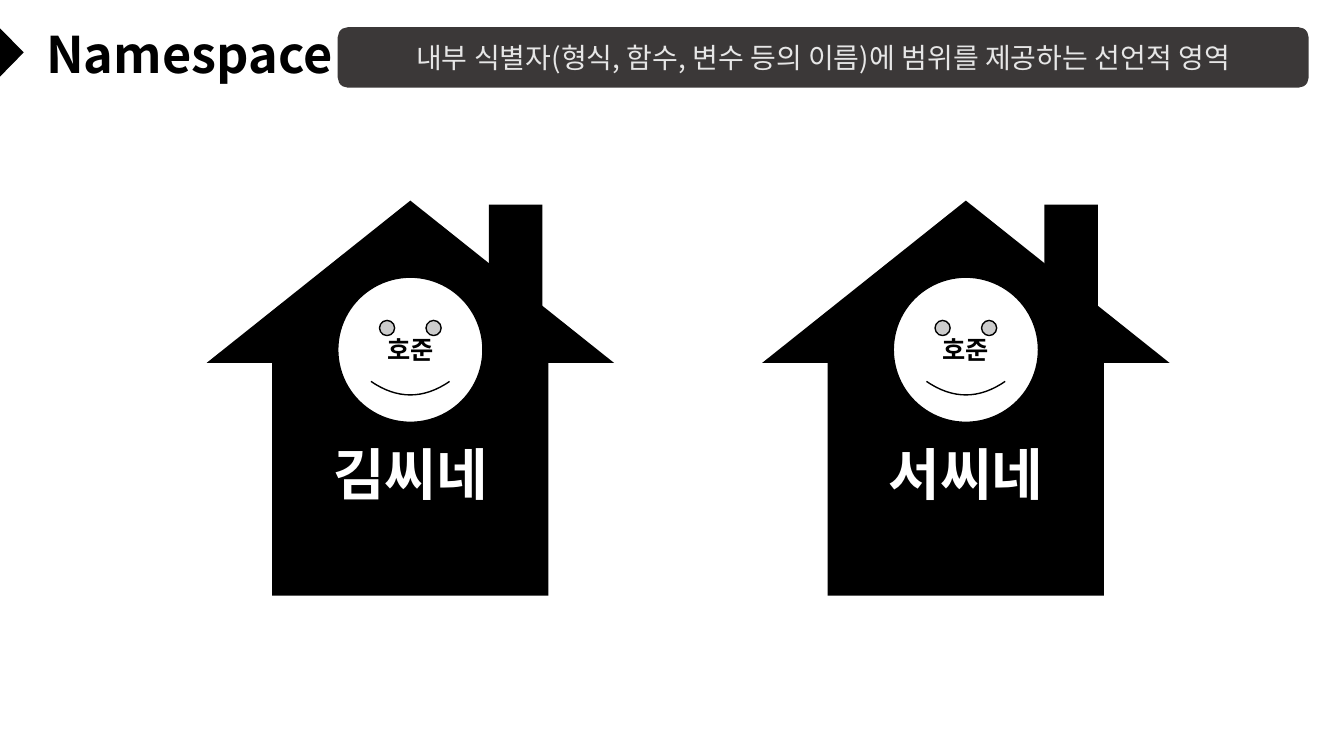
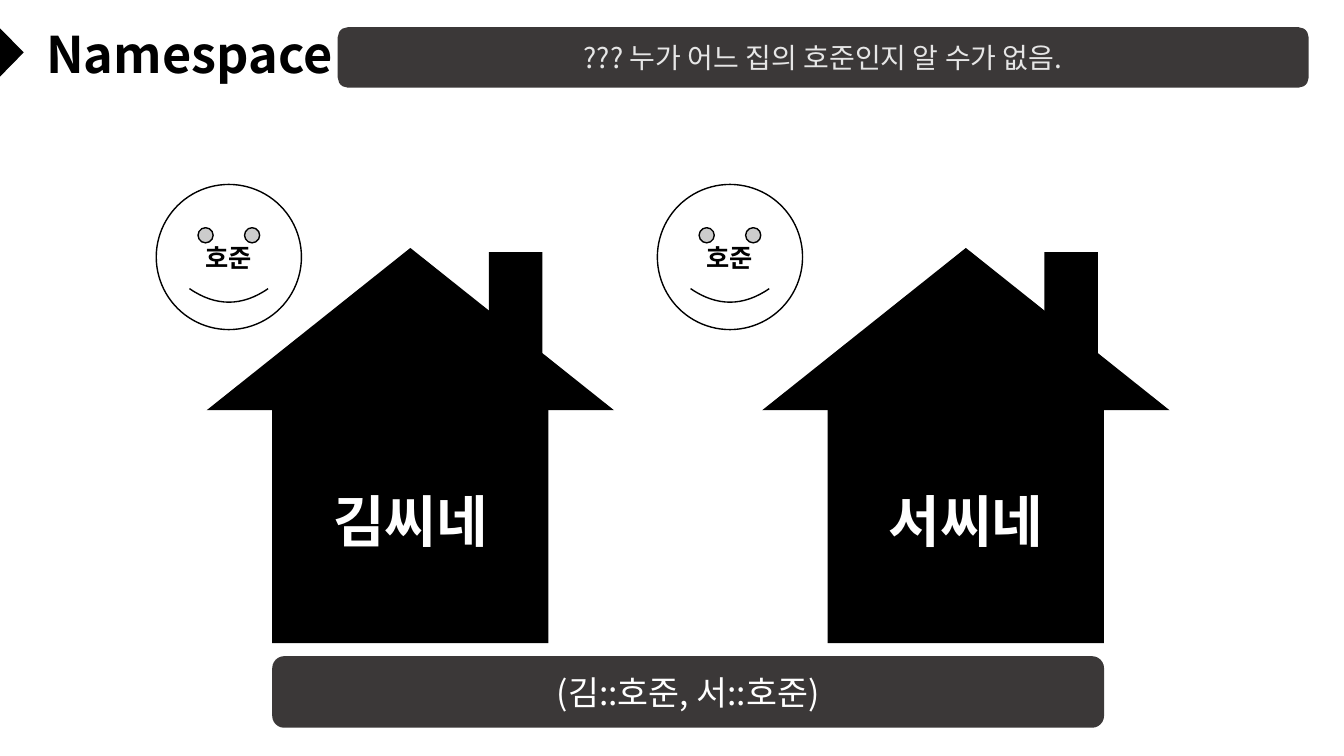
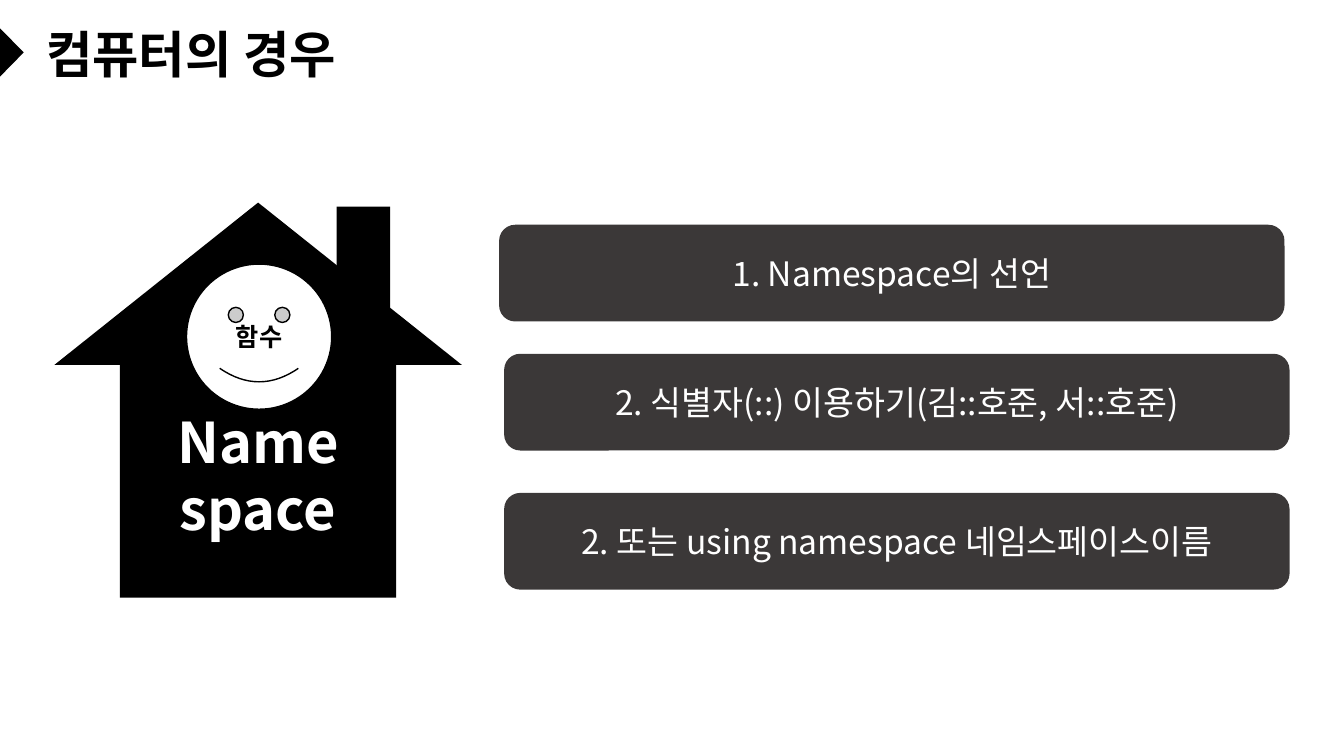
from dataclasses import dataclass

from lxml import etree
from pptx import Presentation
from pptx.dml.color import RGBColor
from pptx.enum.shapes import MSO_SHAPE
from pptx.enum.text import MSO_ANCHOR, PP_ALIGN
from pptx.oxml.ns import qn
from pptx.util import Inches, Pt

RECTANGLE = MSO_SHAPE.RECTANGLE
ROUNDED = MSO_SHAPE.ROUNDED_RECTANGLE
TRIANGLE = MSO_SHAPE.ISOSCELES_TRIANGLE
SMILEY = MSO_SHAPE.SMILEY_FACE
CENTER = PP_ALIGN.CENTER
LEFT = PP_ALIGN.LEFT
MIDDLE = MSO_ANCHOR.MIDDLE


@dataclass(frozen=True)
class Theme:
    font: str = "Noto Sans CJK KR"
    black: str = "000000"
    white: str = "FFFFFF"
    band: str = "3B3838"
    band_text: str = "E6E6E6"
    title_size: int = 36
    house_size: int = 40
    face_size: int = 18
    summary_size: int = 20
    note_size: int = 24


THEME = Theme()
HOUSE_GAP = 5.51
FIRST_HOUSE = 2.05


def write(shape, text, size, color, bold=False, align=CENTER, spacing=None):
    frame = shape.text_frame
    frame.word_wrap = True
    frame.vertical_anchor = MIDDLE
    for index, line in enumerate(text.split("\n")):
        paragraph = frame.add_paragraph() if index else frame.paragraphs[0]
        paragraph.alignment = align
        paragraph.line_spacing = spacing
        run = paragraph.add_run()
        run.text = line
        run.font.name = THEME.font
        run.font.size = Pt(size)
        run.font.bold = bold
        run.font.color.rgb = RGBColor.from_string(color)
        east_asian = etree.SubElement(run.font._element, qn("a:ea"))
        east_asian.set("typeface", THEME.font)


def add_block(shapes, kind, left, top, width, height, fill, outline=None):
    block = shapes.add_shape(
        kind, Inches(left), Inches(top), Inches(width), Inches(height)
    )
    block.shadow.inherit = False
    block.fill.solid()
    block.fill.fore_color.rgb = RGBColor.from_string(fill)
    if outline:
        block.line.color.rgb = RGBColor.from_string(outline)
        block.line.width = Pt(1)
    else:
        block.line.fill.background()
    return block


def add_titled_slide(deck, title):
    slide = deck.slides.add_slide(deck.slide_layouts[6])
    marker = add_block(slide.shapes, TRIANGLE, -0.13, 0.4, 0.49, 0.24, THEME.black)
    marker.rotation = 90
    heading = slide.shapes.add_textbox(
        Inches(0.36), Inches(0.02), Inches(12.61), Inches(1.09)
    )
    write(heading, title, THEME.title_size, THEME.black,
          bold=True, align=LEFT, spacing=0.9)
    return slide


def add_band(slide, text, left, top, width, height,
             size=THEME.note_size, color=THEME.white):
    band = add_block(slide.shapes, ROUNDED, left, top, width, height, THEME.band)
    write(band, text, size, color)


def add_summary(slide, text):
    add_band(slide, text, 3.35, 0.27, 9.63, 0.6,
             size=THEME.summary_size, color=THEME.band_text)


def add_house(slide, family, left, top):
    house = slide.shapes.add_group_shape().shapes
    wall = add_block(house, RECTANGLE, left + 0.65, top + 1.48, 2.74, 2.44, THEME.black)
    write(wall, family, THEME.house_size, THEME.white, bold=True)
    add_block(house, TRIANGLE, left, top, 4.04, 1.61, THEME.black)
    add_block(house, RECTANGLE, left + 2.8, top + 0.04, 0.53, 1.15, THEME.black)


def add_face(slide, name, left, top):
    face = add_block(slide.shapes, SMILEY, left, top, 1.44, 1.44,
                     THEME.white, outline=THEME.black)
    write(face, name, THEME.face_size, THEME.black, bold=True)


def add_neighbours(slide, house_top, face_lefts, face_top):
    for index, family in enumerate(("김씨네", "서씨네")):
        add_house(slide, family, FIRST_HOUSE + index * HOUSE_GAP, house_top)
    for face_left in face_lefts:
        add_face(slide, "호준", face_left, face_top)


def build_definition(deck):
    slide = add_titled_slide(deck, "Namespace")
    add_summary(slide, "내부 식별자(형식, 함수, 변수 등의 이름)에 범위를 제공하는 선언적 영역")
    add_neighbours(slide, 1.99, (3.35, 3.35 + HOUSE_GAP), 2.75)


def build_ambiguity(deck):
    slide = add_titled_slide(deck, "Namespace")
    add_neighbours(slide, 2.46, (1.55, 6.52), 1.83)
    add_summary(slide, "??? 누가 어느 집의 호준인지 알 수가 없음.")
    add_band(slide, "(김::호준, 서::호준)", 2.7, 6.51, 8.25, 0.71)


def build_computer_case(deck):
    slide = add_titled_slide(deck, "컴퓨터의 경우")
    add_house(slide, "Name\nspace", 0.54, 2.01)
    add_face(slide, "함수", 1.85, 2.62)
    steps = (
        ("1. Namespace의 선언", 4.95, 2.23),
        ("2. 식별자(::) 이용하기(김::호준, 서::호준)", 5, 3.51),
        ("2. 또는 using namespace 네임스페이스이름", 5, 4.89),
    )
    for text, left, top in steps:
        add_band(slide, text, left, top, 7.79, 0.96)


def main():
    deck = Presentation()
    deck.slide_width = Inches(13.33)
    deck.slide_height = Inches(7.5)
    build_definition(deck)
    build_ambiguity(deck)
    build_computer_case(deck)
    deck.save("out.pptx")


if __name__ == "__main__":
    main()
